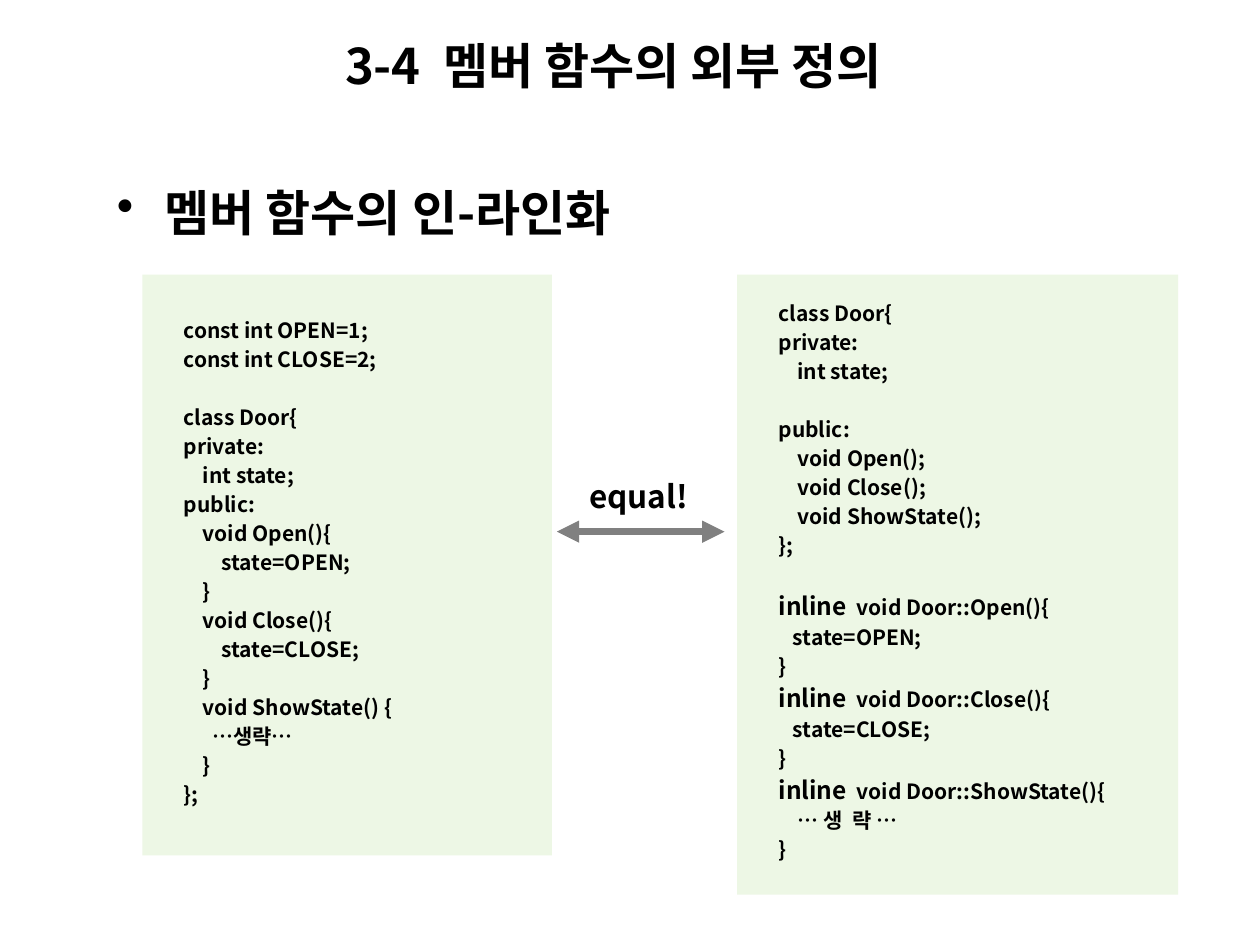
from dataclasses import dataclass

from lxml.etree import SubElement
from pptx import Presentation
from pptx.dml.color import RGBColor
from pptx.enum.shapes import MSO_CONNECTOR, MSO_SHAPE
from pptx.enum.text import MSO_ANCHOR, PP_ALIGN
from pptx.oxml.ns import qn
from pptx.util import Inches, Pt


@dataclass(frozen=True)
class Theme:
    font: str = "Noto Sans CJK KR"
    ink: RGBColor = RGBColor(0, 0, 0)
    panel: RGBColor = RGBColor(0xED, 0xF7, 0xE5)
    arrow: RGBColor = RGBColor(0x80, 0x80, 0x80)
    heading_size: int = 28
    label_size: int = 18
    keyword_size: int = 14
    code_size: int = 12
    code_leading: float = 1.38  # line pitch as a multiple of the type size
    space_width: float = 0.0375  # inches taken by one code space


THEME = Theme()

INLINE_CODE = """const int OPEN=1;
const int CLOSE=2;

class Door{
private:
    int state;
public:
    void Open(){
        state=OPEN;
    }
    void Close(){
        state=CLOSE;
    }
    void ShowState() {
      …생략…
    }
};"""

EXTERNAL_CODE = """class Door{
private:
    int state;

public:
    void Open();
    void Close();
    void ShowState();
};

inline  void Door::Open(){
   state=OPEN;
}
inline  void Door::Close(){
   state=CLOSE;
}
inline  void Door::ShowState(){
    … 생  략 …
}"""


def style_paragraph(paragraph, size):
    font = paragraph.font
    font.name = THEME.font
    font.size = Pt(size)
    font.bold = True
    font.color.rgb = THEME.ink
    properties = paragraph._p.get_or_add_pPr().find(qn("a:defRPr"))
    SubElement(properties, qn("a:ea"), typeface=THEME.font)


def add_text(slide, text, left, top, width, height, size):
    box = slide.shapes.add_textbox(
        Inches(left), Inches(top), Inches(width), Inches(height))
    frame = box.text_frame
    frame.word_wrap = True
    frame.vertical_anchor = MSO_ANCHOR.MIDDLE
    paragraph = frame.paragraphs[0]
    paragraph.add_run().text = text
    style_paragraph(paragraph, size)
    return frame


def add_bullet(paragraph, indent):
    properties = paragraph._p.get_or_add_pPr()
    properties.set("marL", str(Inches(indent)))
    properties.set("indent", str(-Inches(indent)))
    bullet = properties.makeelement(qn("a:buChar"), {"char": "•"})
    properties.find(qn("a:defRPr")).addprevious(bullet)


def write_code_line(paragraph, line, after_gap):
    """Turn leading spaces into an indent and enlarge the inline keyword."""
    code = line.lstrip()
    keyword, found, rest = code.partition("inline")
    size = THEME.code_size
    if found:
        size = THEME.keyword_size
        keyword_run = paragraph.add_run()
        keyword_run.text = found
        keyword_run.font.size = Pt(size)
    paragraph.add_run().text = rest if found else keyword
    paragraph.alignment = PP_ALIGN.LEFT
    paragraph.line_spacing = Pt(size * THEME.code_leading)
    if after_gap:
        paragraph.space_before = Pt(THEME.code_size * THEME.code_leading)
    style_paragraph(paragraph, THEME.code_size)
    indent = (len(line) - len(code)) * THEME.space_width
    paragraph._p.get_or_add_pPr().set("marL", str(Inches(indent)))


def add_code_panel(slide, code, left, top, width, height):
    panel = slide.shapes.add_shape(
        MSO_SHAPE.RECTANGLE,
        Inches(left), Inches(top), Inches(width), Inches(height))
    panel.shadow.inherit = False
    panel.fill.solid()
    panel.fill.fore_color.rgb = THEME.panel
    panel.line.fill.background()
    frame = panel.text_frame
    frame.word_wrap = True
    frame.vertical_anchor = MSO_ANCHOR.MIDDLE
    frame.margin_left, frame.margin_right = Inches(0.33), Inches(0.1)
    frame.margin_top, frame.margin_bottom = Inches(0.13), Inches(0.21)
    paragraph = frame.paragraphs[0]
    previous = None
    for line in code.splitlines():
        if line:
            if previous is not None:
                paragraph = frame.add_paragraph()
            write_code_line(paragraph, line, after_gap=previous == "")
        previous = line


def add_double_arrow(slide, left, right, y):
    arrow = slide.shapes.add_connector(
        MSO_CONNECTOR.STRAIGHT,
        Inches(left), Inches(y), Inches(right), Inches(y))
    arrow.line.color.rgb = THEME.arrow
    arrow.line.width = Pt(4.25)
    line = arrow.line._get_or_add_ln()
    for end in ("a:headEnd", "a:tailEnd"):
        SubElement(line, qn(end), type="triangle")
    SubElement(arrow._element.spPr, qn("a:effectLst"))


def main():
    presentation = Presentation()
    presentation.slide_width = Inches(10)
    presentation.slide_height = Inches(7.5)
    slide = presentation.slides.add_slide(presentation.slide_layouts[6])

    add_code_panel(slide, EXTERNAL_CODE, 5.85, 2.18, 3.5, 4.92)
    add_code_panel(slide, INLINE_CODE, 1.13, 2.18, 3.25, 4.61)

    topic = add_text(slide, "멤버 함수의 인-라인화",
                     0.83, 1.31, 4.64, 0.66, THEME.heading_size)
    topic.vertical_anchor = MSO_ANCHOR.TOP
    topic.margin_top = Inches(0.14)
    add_bullet(topic.paragraphs[0], 0.38)

    add_double_arrow(slide, 4.42, 5.75, 4.22)
    equal = add_text(slide, "equal!", 4.52, 3.77, 1.1, 0.33, THEME.label_size)
    equal.paragraphs[0].alignment = PP_ALIGN.CENTER
    add_text(slide, "3-4  멤버 함수의 외부 정의",
             2.64, 0.23, 5.27, 0.57, THEME.heading_size)

    presentation.save("out.pptx")


if __name__ == "__main__":
    main()
